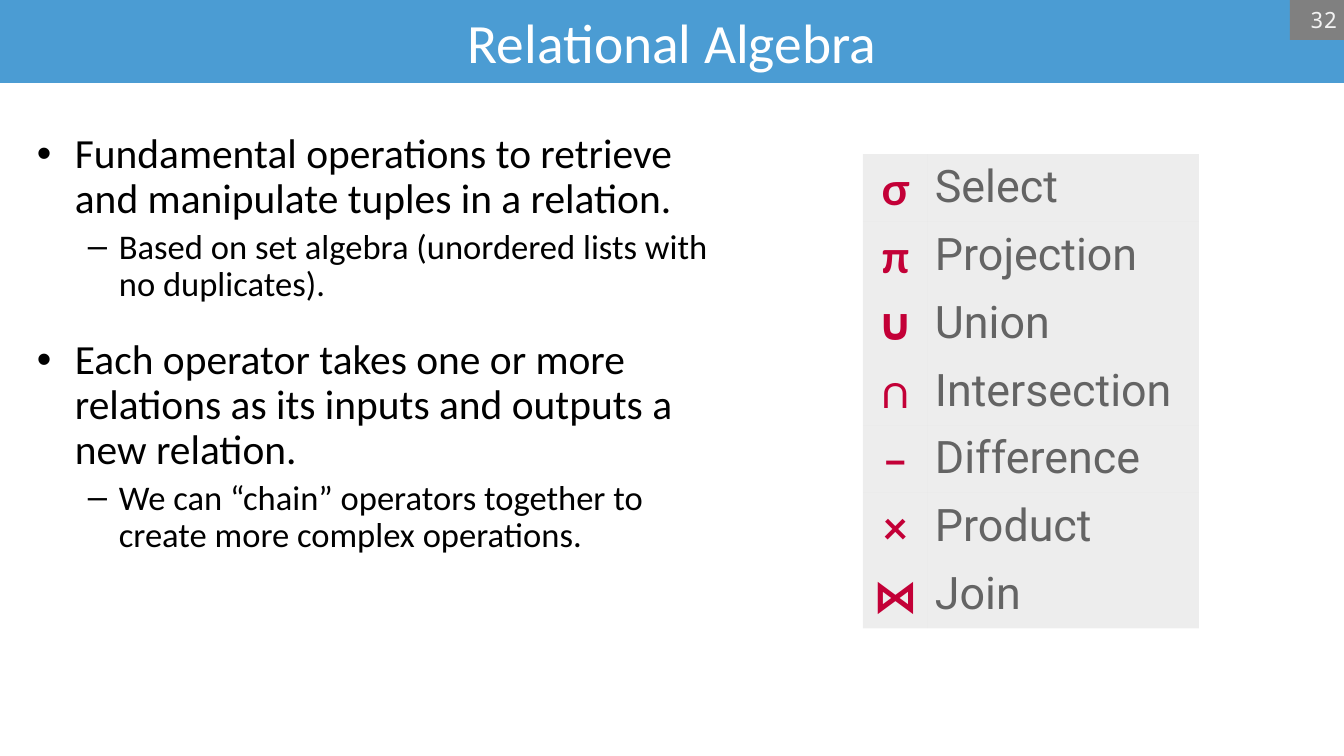
"""Build the Relational Algebra slide with its operator table."""
from lxml.etree import SubElement
from pptx import Presentation
from pptx.dml.color import RGBColor
from pptx.enum.shapes import MSO_SHAPE
from pptx.enum.text import MSO_ANCHOR, PP_ALIGN
from pptx.oxml.ns import qn
from pptx.util import Pt

PX = 914400 / 100.8


def px(*lengths):
    return [round(length * PX) for length in lengths]


def style(paragraph, face, size, color, bold=False, align=PP_ALIGN.LEFT):
    paragraph.alignment = align
    font = paragraph.font
    font.name, font.size, font.bold = face, Pt(size), bold
    font.color.rgb = RGBColor.from_string(color)


deck = Presentation()
deck.slide_width, deck.slide_height = px(1344, 756)
slide = deck.slides.add_slide(deck.slide_layouts[5])

title = slide.shapes.title
title.left, title.top, title.width, title.height = px(0, 0, 1344, 83)
title.fill.solid()
title.fill.fore_color.rgb = RGBColor.from_string("4B9CD3")
title.text_frame.text = "Relational Algebra"
title.text_frame.vertical_anchor = MSO_ANCHOR.MIDDLE
style(title.text_frame.paragraphs[0], "Calibri", 39.6, "FFFFFF", align=PP_ALIGN.CENTER)

points = [
    (0, 0, "Fundamental operations to retrieve\vand manipulate tuples in a relation."),
    (1, 5, "Based on set algebra (unordered lists with no duplicates)."),
    (0, 25, "Each operator takes one or more\vrelations as its inputs and outputs a\vnew relation."),
    (1, 5, "We can “chain” operators together to create more complex operations."),
]
levels = [("•", 38, 38, 29.6), ("–", 82, 31, 24.7)]
body = slide.shapes.add_textbox(*px(27, 128, 699, 537)).text_frame
body.word_wrap = True
for number, (level, gap, wording) in enumerate(points):
    bullet, margin, hanging, size = levels[level]
    point = body.add_paragraph() if number else body.paragraphs[0]
    point.text = wording
    point.level = level
    point.line_spacing = 0.9
    point.space_before = Pt(gap)
    properties = point._p.get_or_add_pPr()
    left, indent = px(margin, -hanging)
    properties.set("marL", str(left))
    properties.set("indent", str(indent))
    SubElement(properties, qn("a:buFont"), typeface="Arial")
    SubElement(properties, qn("a:buChar"), char=bullet)
    style(point, "Calibri", size, "000000")

operators = [
    ("σ", "Select"), ("π", "Projection"), ("∪", "Union"), ("∩", "Intersection"),
    ("–", "Difference"), ("×", "Product"), ("⋈", "Join"),
]
columns = [
    (65, "Lato", "C30037", True, PP_ALIGN.CENTER),
    (271, "Roboto", "646464", False, PP_ALIGN.LEFT),
]
table = slide.shapes.add_table(len(operators), 2, *px(863, 154, 336, 471)).table
table.first_row = table.horz_banding = False
table._tbl.tblPr.find(qn("a:tableStyleId")).text = "{2D5ABB26-0587-4C30-8999-92F81FD0307C}"
for column, (width, face, color, bold, align) in enumerate(columns):
    table.columns[column].width = px(width)[0]
    for row, operator in enumerate(operators):
        cell = table.cell(row, column)
        cell.margin_left, cell.margin_top, cell.margin_right, cell.margin_bottom = px(7, 7, 7, 7)
        cell.fill.solid()
        cell.fill.fore_color.rgb = RGBColor.from_string("000000")
        shade = cell._tc.tcPr.find(qn("a:solidFill")).find(qn("a:srgbClr"))
        SubElement(shade, qn("a:alpha"), val="7000")
        cell.text = operator[column]
        style(cell.text_frame.paragraphs[0], face, 32, color, bold, align)

page_number = slide.shapes.add_shape(MSO_SHAPE.RECTANGLE, *px(1290, 0, 54, 40))
page_number.shadow.inherit = False
page_number.fill.solid()
page_number.fill.fore_color.rgb = RGBColor.from_string("808080")
page_number.line.fill.background()
label = page_number.text_frame
label.margin_left, label.margin_top, label.margin_right, label.margin_bottom = px(0, 7, 7, 7)
label.vertical_anchor = MSO_ANCHOR.MIDDLE
label.text = "32"
style(label.paragraphs[0], "Noto Sans Mono", 16, "F2F2F2", align=PP_ALIGN.RIGHT)

deck.save("out.pptx")
